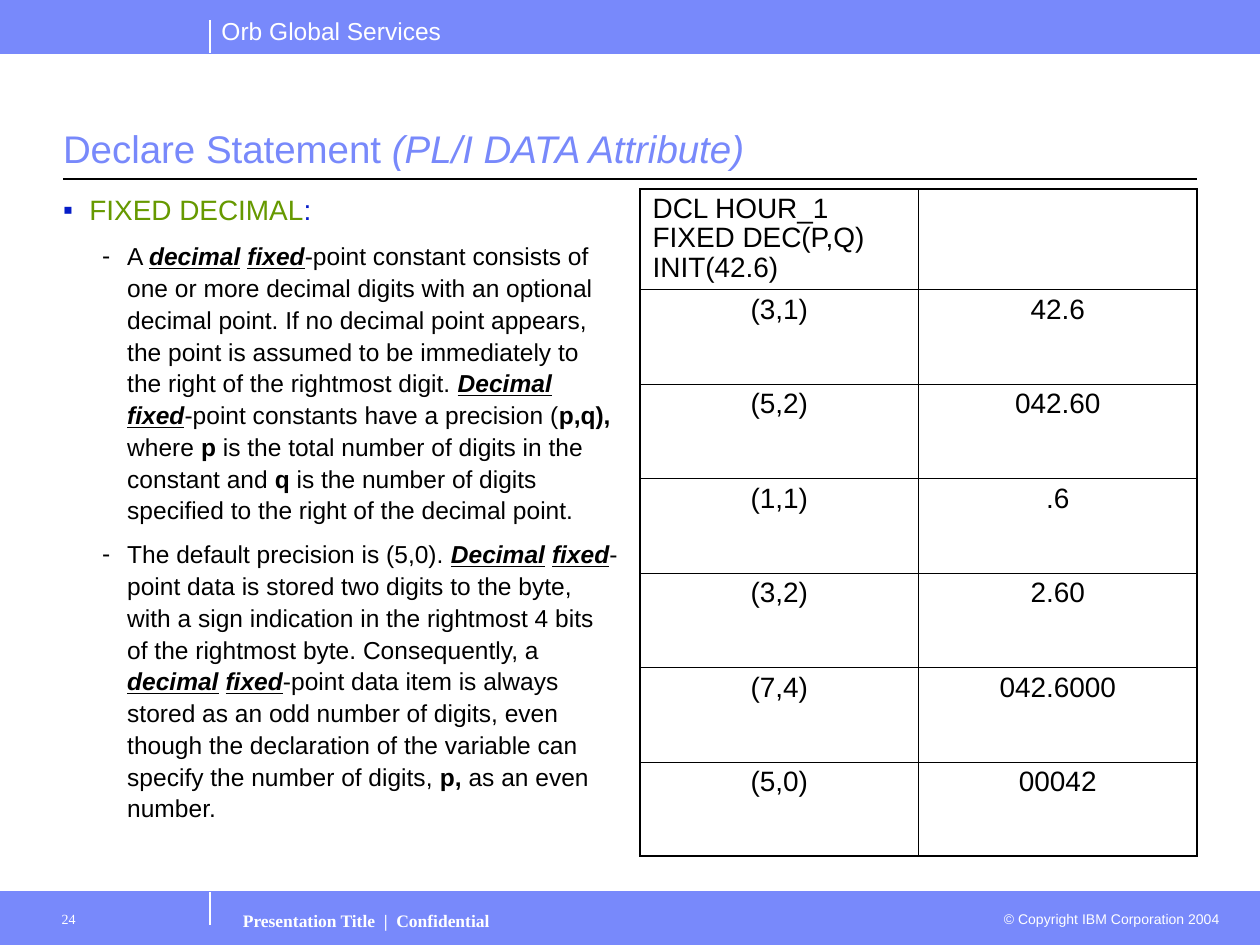
from lxml import etree
from pptx import Presentation, util as u
from pptx.dml.color import RGBColor
from pptx.enum import shapes, text
from pptx.oxml.ns import qn

BLUE = RGBColor(0x78, 0x89, 0xFB)
NAVY = RGBColor(0x06, 0x1D, 0xC8)
GREEN = RGBColor(0x66, 0x99, 0x00)
WHITE = RGBColor(0xFF, 0xFF, 0xFF)
BLACK = RGBColor(0, 0, 0)
SERIF = "Times New Roman"

# Runs are (text, style); style letters are b(old), i(talic), u(nderlined).
TITLE = [("Declare Statement ", ""), ("(PL/I DATA Attribute)", "i")]
TOPIC, COLON = "FIXED DECIMAL", ":"
LOWER_TERM = [("decimal", "biu"), (" ", ""), ("fixed", "biu")]
UPPER_TERM = [("Decimal", "biu"), (" ", ""), ("fixed", "biu")]
POINTS = [
    [("A ", ""), *LOWER_TERM,
     ("-point constant consists of one or more decimal digits with an optional "
      "decimal point. If no decimal point appears, the point is assumed to be "
      "immediately to the right of the rightmost digit. ", ""), *UPPER_TERM,
     ("-point constants have a precision (", ""), ("p,q),", "b"),
     (" where ", ""), ("p", "b"),
     (" is the total number of digits in the constant and ", ""), ("q", "b"),
     (" is the number of digits specified to the right of the decimal point.", "")],
    [("The default precision is (5,0). ", ""), *UPPER_TERM,
     ("-point data is stored two digits to the byte, with a sign indication in the "
      "rightmost 4 bits of the rightmost byte. Consequently, a ", ""), *LOWER_TERM,
     ("-point data item is always stored as an odd number of digits, even though "
      "the declaration of the variable can specify the number of digits, ", ""),
     ("p,", "b"), (" as an even number.", "")],
]
PRECISIONS = [
    ("DCL HOUR_1 FIXED DEC(P,Q) INIT(42.6)", ""),
    ("(3,1)", "42.6"),
    ("(5,2)", "042.60"),
    ("(1,1)", ".6"),
    ("(3,2)", "2.60"),
    ("(7,4)", "042.6000"),
    ("(5,0)", "00042"),
]

WIDTH, HEIGHT = 10, 7.5
BAND = 0.42
FOOT = HEIGHT - BAND
MARGIN = 0.5
DIVIDER = WIDTH / 6
ROW, COLUMN = 0.75, 2.21
THIN, THICK = 0.34, 1.08


def write(paragraph, runs, size, color, font="Arial", align=text.PP_ALIGN.LEFT,
          spacing=1.0, before=0):
    paragraph.alignment = align
    paragraph.line_spacing = spacing
    paragraph.space_before = u.Pt(before)
    for words, style in runs:
        run = paragraph.add_run()
        run.text = words
        run.font.name, run.font.size = font, u.Pt(size)
        run.font.color.rgb = color
        run.font.bold, run.font.italic = "b" in style, "i" in style
        run.font.underline = "u" in style


def bullet(paragraph, mark, color, left, hang):
    props = paragraph._p.get_or_add_pPr()
    props.set("marL", str(u.Inches(left)))
    props.set("indent", str(-u.Inches(hang)))
    tint = etree.SubElement(props, qn("a:buClr"))
    etree.SubElement(tint, qn("a:srgbClr")).set("val", str(color))
    etree.SubElement(props, qn("a:buFont")).set("typeface", "Arial")
    etree.SubElement(props, qn("a:buChar")).set("char", mark)


def place(shape, left, top, width, height):
    shape.left, shape.top = u.Inches(left), u.Inches(top)
    shape.width, shape.height = u.Inches(width), u.Inches(height)


def set_frame(shape, anchor=text.MSO_ANCHOR.TOP, side=0.1, top=0.05, wrap=True):
    frame = shape.text_frame
    frame.word_wrap, frame.vertical_anchor = wrap, anchor
    frame.auto_size = text.MSO_AUTO_SIZE.NONE
    frame.margin_left = frame.margin_right = u.Inches(side)
    frame.margin_top, frame.margin_bottom = u.Inches(top), u.Inches(0.05)
    return frame


def label(slide, words, box, size, style="", frame_format=None, **fmt):
    shape = slide.shapes.add_textbox(*map(u.Inches, box))
    frame = set_frame(shape, **(frame_format or {}))
    write(frame.paragraphs[0], [(words, style)], size, WHITE, **fmt)
    return frame


def rule(slide, x1, y1, x2, y2, color, weight=0.75):
    line = slide.shapes.add_connector(
        shapes.MSO_CONNECTOR.STRAIGHT, *map(u.Inches, (x1, y1, x2, y2)))
    line.line.color.rgb, line.line.width = color, u.Pt(weight)
    etree.SubElement(line._element.spPr, qn("a:effectLst"))


def border(cell, weights):
    """Draw the cell's left, right, top and bottom edges, weights in points."""
    props = cell._tc.get_or_add_tcPr()
    for place_in_order, (side, weight) in enumerate(zip("LRTB", weights)):
        edge = etree.Element(qn(f"a:ln{side}"), w=str(u.Pt(weight)))
        fill = etree.SubElement(edge, qn("a:solidFill"))
        etree.SubElement(fill, qn("a:srgbClr")).set("val", str(BLACK))
        props.insert(place_in_order, edge)


def add_bands(slide):
    for top, edge in ((FOOT, FOOT), (0, BAND)):
        band = slide.shapes.add_shape(
            shapes.MSO_SHAPE.RECTANGLE, *map(u.Inches, (0, top, WIDTH, BAND)))
        band.shadow.inherit = False
        band.fill.solid()
        band.fill.fore_color.rgb = band.line.color.rgb = BLUE
        band.line.width = u.Pt(0.75)
        rule(slide, 0, edge, WIDTH, edge, BLUE, 0.5)
    for top in (0.16, FOOT):
        rule(slide, DIVIDER, top + 0.26, DIVIDER, top, WHITE)
    rule(slide, MARGIN, 1.42, WIDTH - MARGIN, 1.42, BLACK)
    label(slide, "Orb Global Services", (1.66, 0.08, 1.97, 0.34), 14,
          frame_format={"wrap": False}, spacing=1.01)
    label(slide, "© Copyright IBM Corporation 2004", (7.83, 7.17, 1.95, 0.24), 8,
          align=text.PP_ALIGN.RIGHT, spacing=1.07)
    label(slide, "Presentation Title  |  Confidential", (1.83, 7.15, 4.5, 0.35), 10,
          style="b", frame_format={"top": 0.07}, font=SERIF)
    label(slide, "24", (0.33, 7.15, 1.33, 0.35), 8,
          frame_format={"side": 0.16, "top": 0.07}, font=SERIF, spacing=1.07)


def fill_placeholders(slide):
    title, body = slide.shapes.title, slide.placeholders[1]
    place(title, MARGIN, 0.5, WIDTH - 2 * MARGIN, 0.92)
    heading = set_frame(title, text.MSO_ANCHOR.BOTTOM, side=0)
    write(heading.paragraphs[0], TITLE, 22, BLUE, spacing=0.95)

    place(body, MARGIN, 1.5, 4.42, 5.5)
    frame = set_frame(body, side=0)
    topic = frame.paragraphs[0]
    write(topic, [(TOPIC, "")], 16, GREEN, spacing=0.94)
    write(topic, [(COLON, "")], 16, NAVY, spacing=0.94)
    bullet(topic, "▪", NAVY, 0.21, 0.21)
    for runs in POINTS:
        point = frame.add_paragraph()
        point.level = 1
        write(point, runs, 14, BLACK, spacing=1.08, before=7)
        bullet(point, "-", BLACK, 0.51, 0.2)


def add_precisions(slide):
    rows, columns = len(PRECISIONS), len(PRECISIONS[0])
    table = slide.shapes.add_table(rows, columns, *map(
        u.Inches, (5.08, 1.5, columns * COLUMN, rows * ROW))).table
    table.first_row = table.horz_banding = False
    for r, values in enumerate(PRECISIONS):
        table.rows[r].height = u.Inches(ROW)
        for c, value in enumerate(values):
            cell = table.cell(r, c)
            cell.fill.background()
            outer = (c == 0, c == columns - 1, r == 0, r == rows - 1)
            border(cell, [THICK if edge else THIN for edge in outer])
            align = text.PP_ALIGN.CENTER if r else text.PP_ALIGN.LEFT
            if value:
                write(cell.text_frame.paragraphs[0], [(value, "")], 16, BLACK,
                      align=align, spacing=0.94)


def main():
    deck = Presentation()
    deck.slide_width, deck.slide_height = u.Inches(WIDTH), u.Inches(HEIGHT)
    slide = deck.slides.add_slide(deck.slide_layouts[1])
    add_bands(slide)
    fill_placeholders(slide)
    add_precisions(slide)
    deck.save("out.pptx")


if __name__ == "__main__":
    main()
